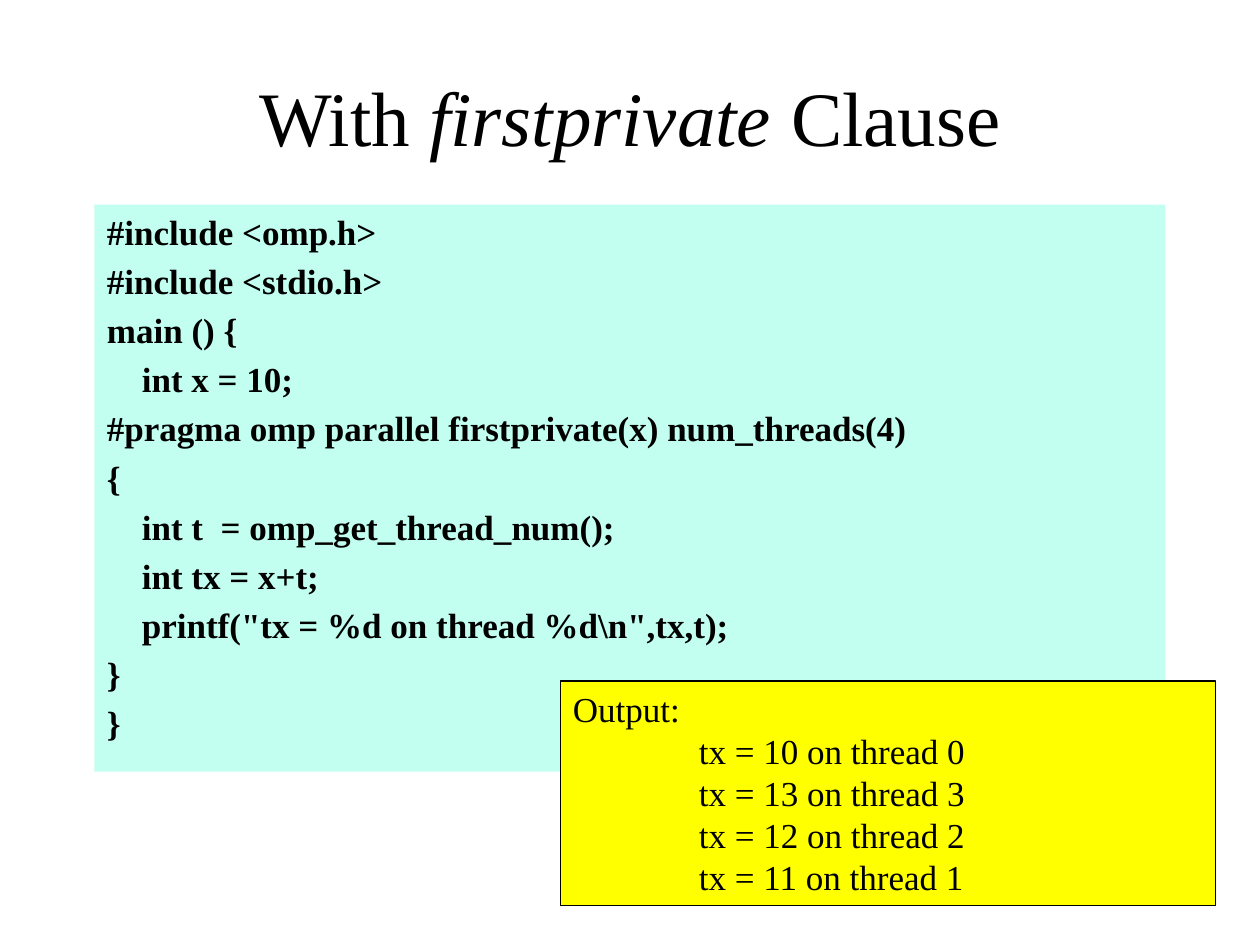
import lxml.etree
import pptx
import pptx.dml.color
import pptx.enum.shapes
import pptx.enum.text
import pptx.oxml.ns
import pptx.util

PX = 9525  # EMU per px, 96 px to the inch
FONT = "Times New Roman"
COLORS = {"text": "000000", "code": "C2FFF0", "output": "FFFF00"}

# Content
TITLE = [("With ", False), ("firstprivate", True), (" Clause", False)]
CODE = [
    "#include <omp.h>",
    "#include <stdio.h>",
    "main () {",
    "    int x = 10;",
    "#pragma omp parallel firstprivate(x) num_threads(4)",
    "{",
    "    int t  = omp_get_thread_num();",
    "    int tx = x+t;",
    "    printf(\"tx = %d on thread %d\\n\",tx,t);",
    "}",
    "}",
]
RESULTS = [(10, 0), (13, 3), (12, 2), (11, 1)]
OUTPUT = ["Output:"] + [f"\ttx = {value} on thread {thread}" for value, thread in RESULTS]

# Places: left, top, width, height in px
TITLE_BOX = (72, 28, 816, 120)
CODE_BOX = (72, 156, 816, 432)
OUTPUT_BOX = (427, 519, 499, 171)
TAB_STOP = 96


def rgb(name):
    return pptx.dml.color.RGBColor.from_string(COLORS[name])


def style(font, size, bold=False, italic=False):
    font.name = FONT
    font.size = pptx.util.Pt(size)
    font.bold = bold
    font.italic = italic
    font.color.rgb = rgb("text")


def add_tab_stop(paragraph, position):
    qn = pptx.oxml.ns.qn
    properties = paragraph._p.get_or_add_pPr()
    tab_list = lxml.etree.SubElement(properties, qn("a:tabLst"))
    lxml.etree.SubElement(tab_list, qn("a:tab"), pos=str(position * PX), algn="l")


def add_panel(slide, box, fill, lines, bold=False, gap=0):
    shape = slide.shapes.add_shape(
        pptx.enum.shapes.MSO_SHAPE.RECTANGLE, *(length * PX for length in box))
    shape.shadow.inherit = False
    shape.fill.solid()
    shape.fill.fore_color.rgb = rgb(fill)
    shape.line.fill.background()
    text_frame = shape.text_frame
    text_frame.word_wrap = True
    text_frame.vertical_anchor = pptx.enum.text.MSO_ANCHOR.TOP
    text_frame.text = "\n".join(lines)
    for index, paragraph in enumerate(text_frame.paragraphs):
        paragraph.alignment = pptx.enum.text.PP_ALIGN.LEFT
        paragraph.space_before = pptx.util.Pt(gap if index else 0)
        if paragraph.text.startswith("\t"):
            add_tab_stop(paragraph, TAB_STOP)
        for run in paragraph.runs:
            style(run.font, 20, bold=bold)
    return shape


presentation = pptx.Presentation()
presentation.slide_width = 960 * PX
presentation.slide_height = 720 * PX
slide = presentation.slides.add_slide(presentation.slide_layouts[6])

# Title
title = slide.shapes.add_textbox(*(length * PX for length in TITLE_BOX))
title.text_frame.word_wrap = True
title.text_frame.vertical_anchor = pptx.enum.text.MSO_ANCHOR.MIDDLE
title_paragraph = title.text_frame.paragraphs[0]
title_paragraph.alignment = pptx.enum.text.PP_ALIGN.CENTER
for words, italic in TITLE:
    run = title_paragraph.add_run()
    run.text = words
    style(run.font, 44, italic=italic)

# Code listing, with the program output overlapping its corner
add_panel(slide, CODE_BOX, "code", CODE, bold=True, gap=4)
output = add_panel(slide, OUTPUT_BOX, "output", OUTPUT)
output.line.color.rgb = rgb("text")
output.line.width = pptx.util.Pt(0.75)

presentation.save("out.pptx")
